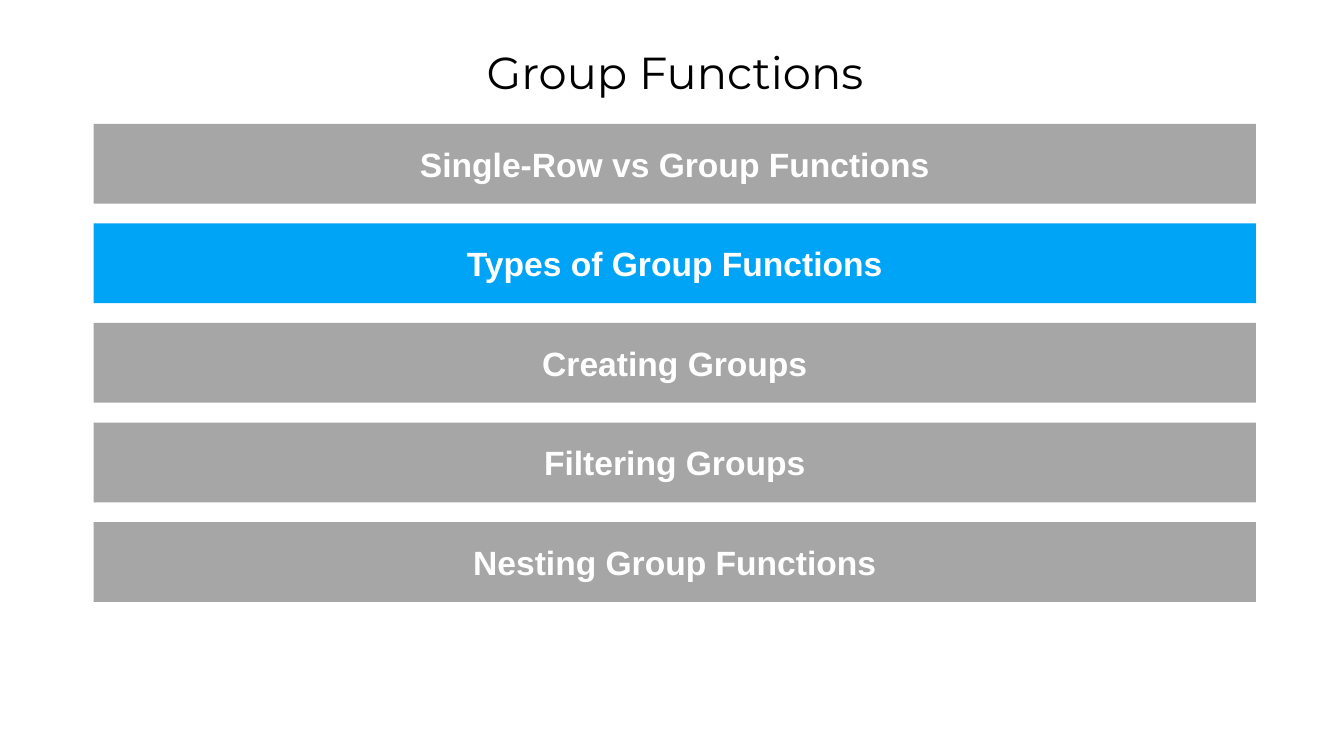
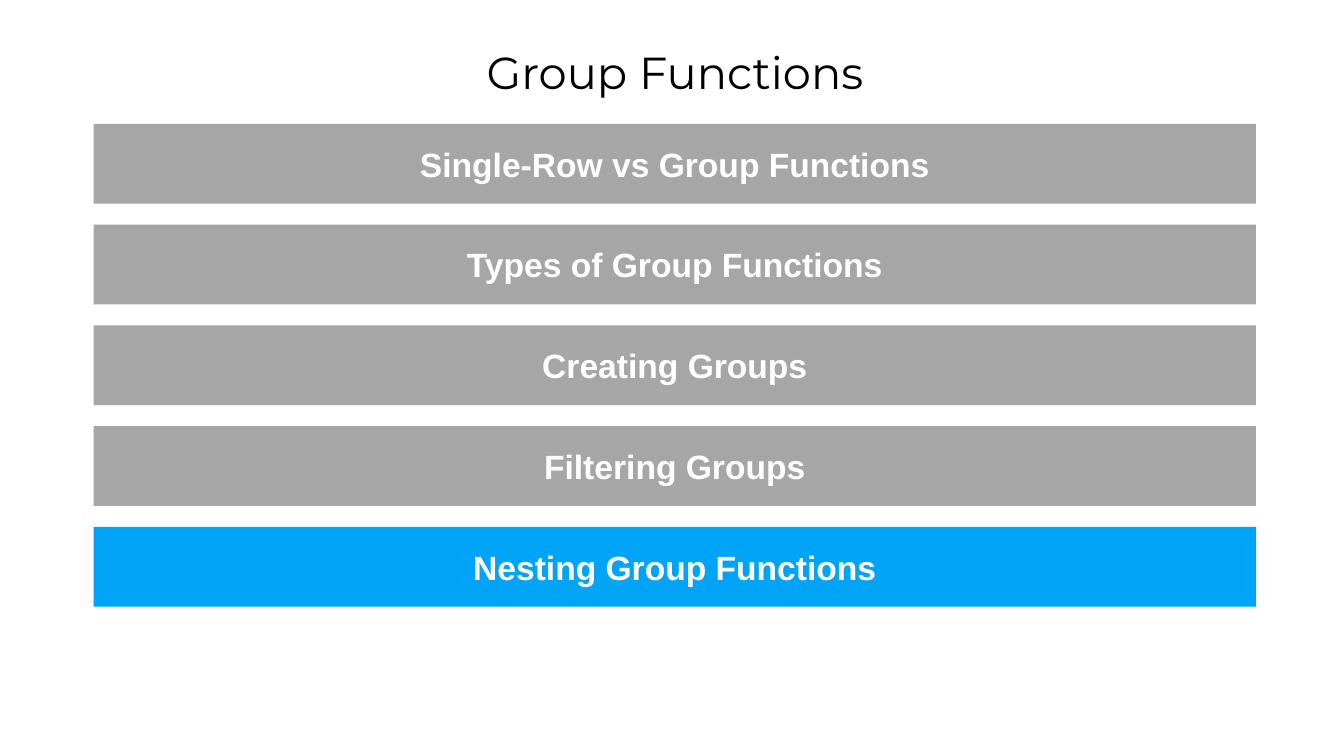
from dataclasses import dataclass

from pptx import Presentation
from pptx.dml.color import RGBColor
from pptx.enum.shapes import MSO_SHAPE
from pptx.enum.text import MSO_ANCHOR, MSO_AUTO_SIZE, PP_ALIGN
from pptx.util import Cm, Pt

RECTANGLE = MSO_SHAPE.RECTANGLE
MIDDLE = MSO_ANCHOR.MIDDLE
GROW = MSO_AUTO_SIZE.SHAPE_TO_FIT_TEXT
CENTER = PP_ALIGN.CENTER


@dataclass(frozen=True)
class Theme:
    """Colours and type styles shared by the agenda slides."""
    black: RGBColor = RGBColor(0x00, 0x00, 0x00)
    white: RGBColor = RGBColor(0xFF, 0xFF, 0xFF)
    inactive: RGBColor = RGBColor(0xA6, 0xA6, 0xA6)
    active: RGBColor = RGBColor(0x00, 0xA4, 0xF6)

    @property
    def title(self):
        """Return the font format of the slide title."""
        return {"name": "Montserrat", "size": Pt(32), "color": self.black}

    @property
    def band(self):
        """Return the font format of a topic band."""
        return {"name": "Arial", "size": Pt(24), "bold": True,
                "color": self.white}


THEME = Theme()
SLIDE_WIDTH, SLIDE_HEIGHT = Cm(33.87), Cm(19.05)
BAND_LEFT, FIRST_BAND_TOP = Cm(2.36), Cm(3.12)
BAND_WIDTH, BAND_HEIGHT = Cm(29.29), Cm(2.01)

TITLE = "Group Functions"
TOPICS = (
    "Single-Row vs Group Functions",
    "Types of Group Functions",
    "Creating Groups",
    "Filtering Groups",
    "Nesting Group Functions",
)
AGENDAS = (
    ("Types of Group Functions", Cm(2.51)),
    ("Nesting Group Functions", Cm(2.54)),
)


def write_text(frame, wording, style):
    """Put one centred, formatted line into a text frame."""
    frame.word_wrap = True
    frame.vertical_anchor = MIDDLE
    paragraph = frame.paragraphs[0]
    paragraph.alignment = CENTER
    run = paragraph.add_run()
    run.text = wording
    for attribute, value in style.items():
        if attribute == "color":
            run.font.color.rgb = value
        else:
            setattr(run.font, attribute, value)


def add_title(slide, wording):
    """Add the slide title above the bands."""
    title = slide.shapes.add_textbox(Cm(1.7), Cm(0.99), Cm(30.63), Cm(1.63))
    write_text(title.text_frame, wording, THEME.title)
    title.text_frame.auto_size = GROW


def add_band(slide, topic, top, colour):
    """Add one full-width topic band."""
    band = slide.shapes.add_shape(
        RECTANGLE, BAND_LEFT, top, BAND_WIDTH, BAND_HEIGHT)
    band.shadow.inherit = False
    band.fill.solid()
    band.fill.fore_color.rgb = colour
    band.line.fill.background()
    write_text(band.text_frame, topic, THEME.band)


def add_agenda(deck, current_topic, pitch):
    """Add an agenda slide with its current topic highlighted."""
    slide = deck.slides.add_slide(deck.slide_layouts[6])
    add_title(slide, TITLE)
    for position, topic in enumerate(TOPICS):
        colour = THEME.active if topic == current_topic else THEME.inactive
        add_band(slide, topic, FIRST_BAND_TOP + position * pitch, colour)


def main():
    """Build and save the agenda slides."""
    deck = Presentation()
    deck.slide_width, deck.slide_height = SLIDE_WIDTH, SLIDE_HEIGHT
    for current_topic, pitch in AGENDAS:
        add_agenda(deck, current_topic, pitch)
    deck.save("out.pptx")


if __name__ == "__main__":
    main()
